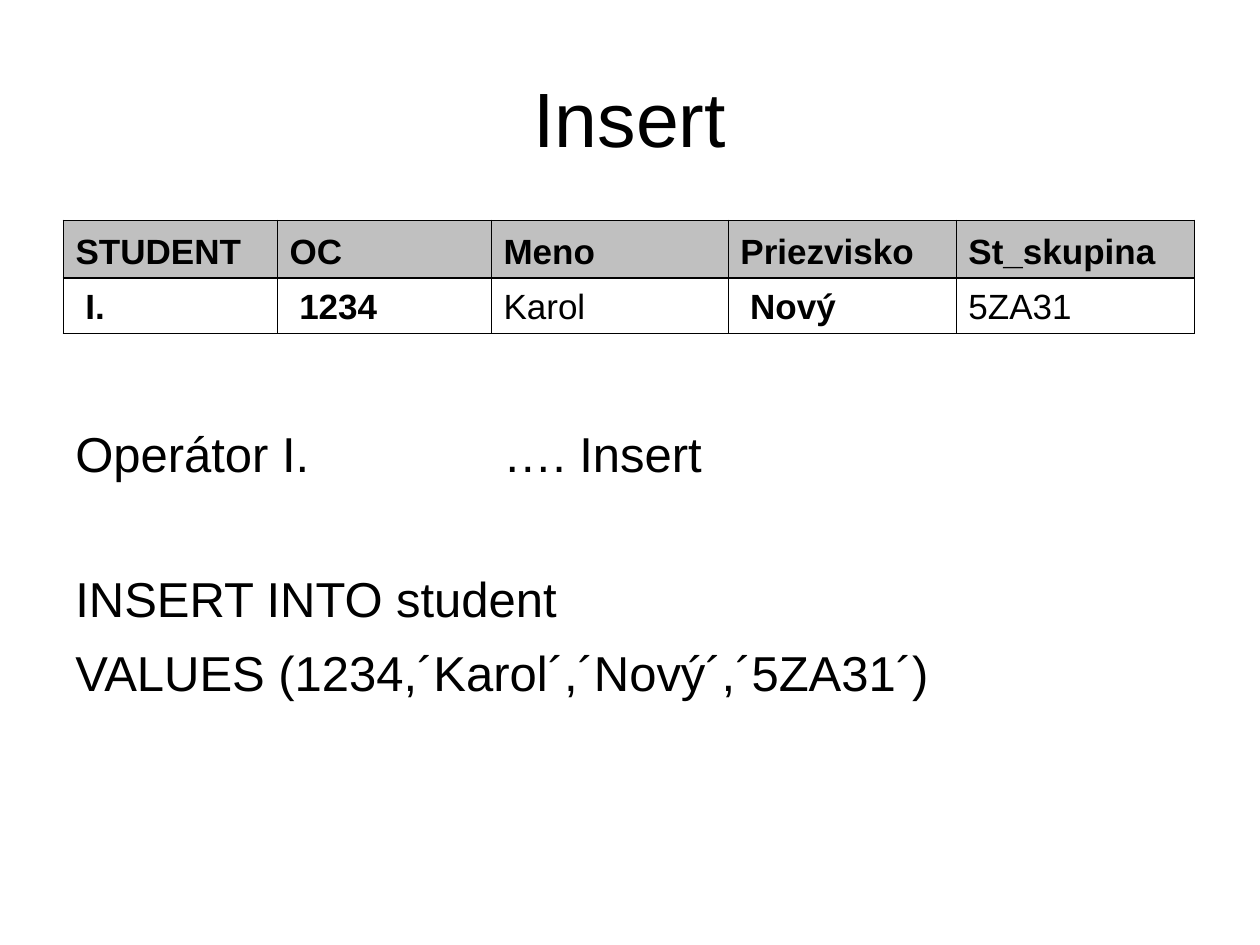
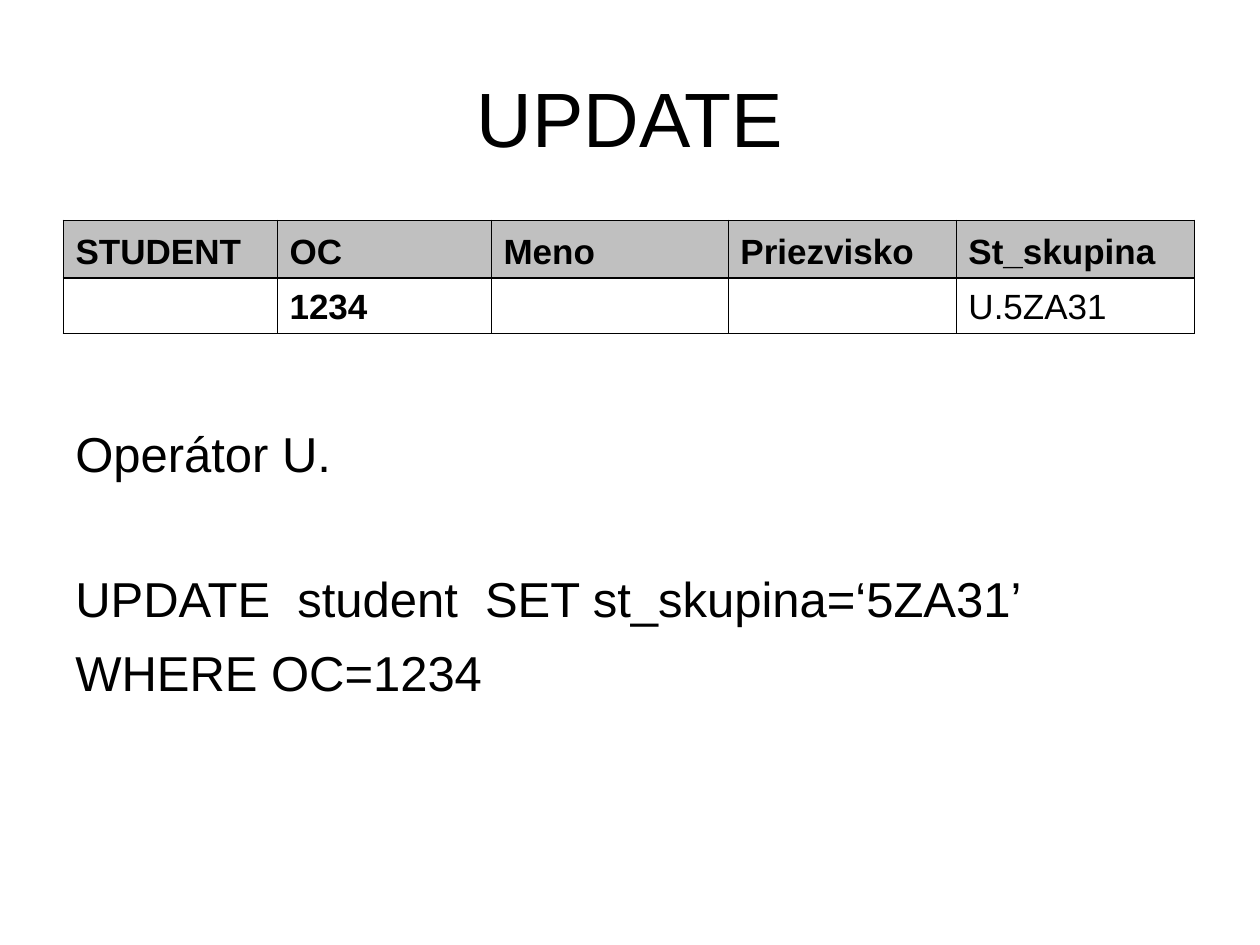
from lxml.etree import SubElement as Sub
from pptx import Presentation
from pptx.dml.color import RGBColor
from pptx.enum.text import MSO_ANCHOR as Anchor, PP_ALIGN as Align
from pptx.oxml.ns import qn
from pptx.util import Emu, Pt

SCALE = 914400 / 126
BLACK, GREY = "000000", "C0C0C0"
HEAD = ["STUDENT", "OC", "Meno", "Priezvisko", "St_skupina"]
COLS = [214, 214, 237, 228, 239]
ROWS = [58, 55]
PLAIN = (2, 4)
THIN, THICK = Pt(0.45), Pt(0.96)
GAP, BREAK = 8.4, 49
TAB = 428

PAGES = [
    ("Insert",
     [" I.", " 1234", "Karol", " Nový", "5ZA31"],
     ["Operátor I.\t…. Insert", "INSERT INTO student",
      "VALUES (1234,´Karol´,´Nový´,´5ZA31´)"]),
    ("UPDATE",
     ["", "1234", "", "", "U.5ZA31"],
     ["Operátor U.", "UPDATE  student  SET st_skupina=‘5ZA31’",
      "WHERE OC=1234"]),
]


def px(*nums):
    return [Emu(round(n * SCALE)) for n in nums]


def style(para, size, bold=False):
    for run in para.runs:
        run.font.name = "Arial"
        run.font.size = Pt(size)
        run.font.bold = bold
        run.font.color.rgb = RGBColor.from_string(BLACK)


deck = Presentation()
deck.slide_width, deck.slide_height = px(1260, 945)

for name, row, lines in PAGES:
    slide = deck.slides.add_slide(deck.slide_layouts[6])

    # Title
    title = slide.shapes.add_textbox(*px(63, 38, 1134, 157)).text_frame
    title.word_wrap = True
    title.vertical_anchor = Anchor.MIDDLE
    title.text = name
    title.paragraphs[0].alignment = Align.CENTER
    style(title.paragraphs[0], 44)

    # Query grid
    grid = slide.shapes.add_table(
        2, len(COLS), *px(63, 220, sum(COLS), sum(ROWS))).table
    grid.first_row = grid.horz_banding = False
    for col, width in zip(grid.columns, px(*COLS)):
        col.width = width
    for r, (texts, high) in enumerate(zip([HEAD, row], px(*ROWS))):
        grid.rows[r].height = high
        for c, text in enumerate(texts):
            cell = grid.cell(r, c)
            cell.text = text
            cell.vertical_anchor = Anchor.BOTTOM
            style(cell.text_frame.paragraphs[0], 20, r == 0 or c not in PLAIN)
            props = cell._tc.get_or_add_tcPr()
            inner = "lnT" if r else "lnB"
            for side in ("lnL", "lnR", "lnT", "lnB"):
                width = THICK if side == inner else THIN
                edge = Sub(props, qn("a:" + side), w=str(width))
                Sub(Sub(edge, qn("a:solidFill")), qn("a:srgbClr"), val=BLACK)
            if r:
                cell.fill.background()
            else:
                cell.fill.solid()
                cell.fill.fore_color.rgb = RGBColor.from_string(GREY)

    # Operator and its SQL
    body = slide.shapes.add_textbox(*px(63, 413, 1134, 476)).text_frame
    body.word_wrap = True
    body.margin_top = px(11)[0]
    body.text = "\n".join(lines)
    for para, space in zip(body.paragraphs, (None, BREAK, GAP)):
        if space:
            para.space_before = Pt(space)
        if "\t" in para.text:
            tabs = Sub(para._p.get_or_add_pPr(), qn("a:tabLst"))
            Sub(tabs, qn("a:tab"), pos=str(px(TAB)[0]), algn="l")
        style(para, 28)

deck.save("out.pptx")
